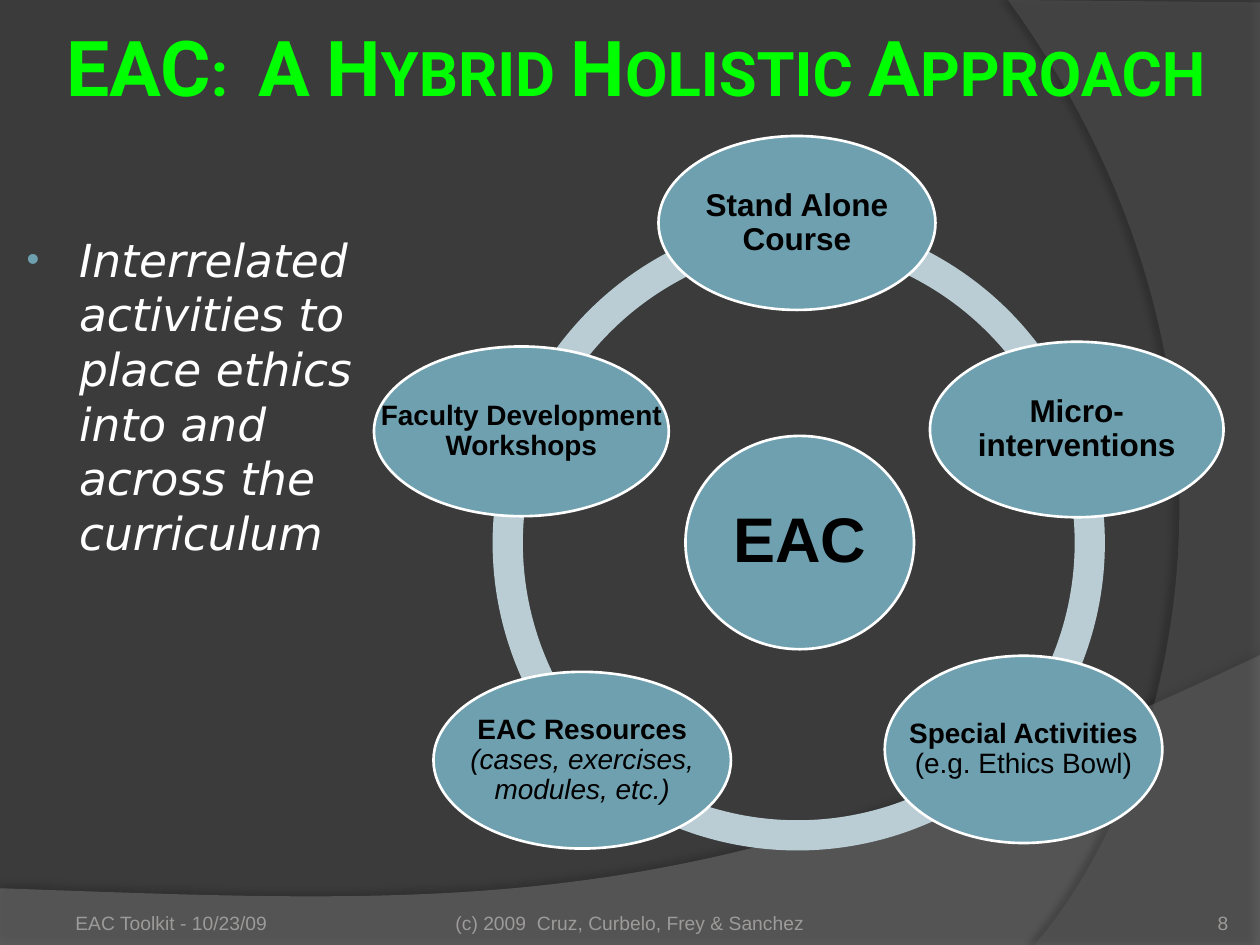
from lxml.etree import SubElement
from pptx import Presentation
from pptx.dml.color import RGBColor
from pptx.enum.shapes import MSO_SHAPE
from pptx.enum.text import MSO_ANCHOR, MSO_AUTO_SIZE, PP_ALIGN
from pptx.oxml.ns import qn
from pptx.util import Pt

COLORS = {
    "background": "3B3B3B", "bottom_wave": "7F7F7F", "right_wave": "5E5E5E",
    "shadow": "000000", "title": "00FF00", "body": "FFFFFF", "node": "6EA0B0",
    "ring": "BACDD4", "outline": "FFFFFF", "label": "000000", "footer": "9D9B9A",
}

# Ring segments: left, top, start and end angle, clockwise from the right;
# each segment ends beneath the nodes it joins
RING_SIZE = 375.8
RING_ARCS = [
    (281.5, 122.4, 138, 200),  # EAC Resources to Faculty Development
    (281.5, 122.4, 200, 266),  # Faculty Development to Stand Alone Course
    (255.6, 122.4, 274, 339),  # Stand Alone Course to Micro-interventions
    (255.6, 122.4, 339, 40),   # Micro-interventions to Special Activities
    (267.8, 110.2, 45, 132),   # Special Activities to EAC Resources
]

# Nodes: box, text size, inset, runs of (text, bold, italic)
NODES = [
    ((391.7, 249.1, 130.6, 121.9), 36, 3.6, [("EAC", True, False)]),
    ((376.3, 77.7, 158.3, 99.4), 18, 2, [("Stand Alone Course", True, False)]),
    ((531.4, 195.3, 167.8, 100.3), 18, 2, [("Micro-\ninterventions", True, False)]),
    ((505.6, 374.7, 158.6, 107), 16, 1.6,
     [("Special Activities ", True, False), ("(e.g. Ethics Bowl)", False, False)]),
    ((247.7, 383.9, 170, 101), 16, 1.6,
     [("EAC Resources ", True, False),
      ("(cases, exercises, modules, etc.)", False, True)]),
    ((213.7, 198, 168.5, 97), 16, 1.6,
     [("Faculty Development Workshops", True, False)]),
]

# Footer: text, box, alignment, insets
FOOTERS = [
    ("EAC Toolkit - 10/23/09", (36, 505.4, 168, 28.8), PP_ALIGN.LEFT, (7.2, 3.6, 7.2, 0)),
    ("8", (642, 505.4, 60, 28.8), PP_ALIGN.RIGHT, (0, 0, 0, 0)),
    ("(c) 2009  Cruz, Curbelo, Frey & Sanchez", (246, 505.4, 228, 28.8),
     PP_ALIGN.CENTER, (0, 3.6, 0, 0)),
]


def rgb(name):
    return RGBColor.from_string(COLORS[name])


def points(values):
    return [Pt(value) for value in values]


def place(shape, box):
    shape.left, shape.top, shape.width, shape.height = points(box)


def set_frame(shape, anchor, insets):
    frame = shape.text_frame
    margins = dict(zip(("margin_left", "margin_top", "margin_right", "margin_bottom"),
                       points(insets)))
    values = {"word_wrap": True, "auto_size": MSO_AUTO_SIZE.NONE,
              "vertical_anchor": anchor, **margins}
    for name, value in values.items():
        setattr(frame, name, value)
    return frame.paragraphs[0]


def add_run(paragraph, text, color, size, **formats):
    for index, line in enumerate(text.split("\n")):
        if index:
            paragraph.add_line_break()
        run = paragraph.add_run()
        run.text = line
        values = {"name": "Arial", "size": Pt(size), "bold": False, "italic": False}
        for name, value in {**values, **formats}.items():
            setattr(run.font, name, value)
        run.font.color.rgb = rgb(color)
    return run


def add_text(slide, box, anchor, insets, alignment):
    paragraph = set_frame(slide.shapes.add_textbox(*points(box)), anchor, insets)
    paragraph.alignment = alignment
    return paragraph


def fill_shape(shape, color):
    shape.shadow.inherit = False
    shape.fill.solid()
    shape.fill.fore_color.rgb = rgb(color)
    shape.line.fill.background()


def add_alpha(color_element, percent):
    SubElement(color_element, qn("a:alpha"), val=str(percent * 1000))


def curve(start, control_1, control_2, end, steps=60):
    """Points along a cubic Bezier curve."""
    result = []
    for step in range(steps + 1):
        t = step / steps
        weights = ((1 - t) ** 3, 3 * t * (1 - t) ** 2, 3 * t ** 2 * (1 - t), t ** 3)
        result.append(tuple(
            sum(weight * value for weight, value in zip(weights, axis))
            for axis in zip(start, control_1, control_2, end)))
    return result


def add_wave(slide, vertices, color, opacity, shadow_opacity, distance, direction):
    vertices = [points(vertex) for vertex in vertices]
    builder = slide.shapes.build_freeform(*vertices[0])
    builder.add_line_segments(vertices[1:], close=True)
    shape = builder.convert_to_shape()
    fill_shape(shape, color)
    properties = shape._element.spPr
    add_alpha(properties.find(qn("a:solidFill"))[0], opacity)
    shadow = SubElement(
        properties.find(qn("a:effectLst")), qn("a:outerShdw"), blurRad=str(Pt(4)),
        dist=str(Pt(distance)), dir=str(direction * 60000), algn="ctr", rotWithShape="0")
    add_alpha(SubElement(shadow, qn("a:srgbClr"), val=COLORS["shadow"]), shadow_opacity)


def add_ring_arc(slide, left, top, start, end):
    shape = slide.shapes.add_shape(
        MSO_SHAPE.BLOCK_ARC, *points((left, top, RING_SIZE, RING_SIZE)))
    fill_shape(shape, "ring")
    # Angles are stored in 60000ths of a degree, adjustments in 100000ths
    for index, value in enumerate((start * 0.6, end * 0.6, 0.046)):
        shape.adjustments[index] = value


def add_node(slide, box, size, inset, runs):
    ellipse = slide.shapes.add_shape(MSO_SHAPE.OVAL, *points(box))
    fill_shape(ellipse, "node")
    ellipse.line.color.rgb = rgb("outline")
    ellipse.line.width = Pt(1.5)
    paragraph = add_text(slide, box, MSO_ANCHOR.MIDDLE, [inset] * 4, PP_ALIGN.CENTER)
    paragraph.line_spacing = 0.9
    for text, bold, italic in runs:
        add_run(paragraph, text, "label", size, bold=bold, italic=italic)


def fill_title(title):
    place(title, (14.4, 8.6, 697.7, 58.3))
    paragraph = set_frame(title, MSO_ANCHOR.MIDDLE, [3.6] * 4)
    paragraph.alignment = PP_ALIGN.CENTER
    run = add_run(paragraph, "EAC:  A Hybrid Holistic Approach", "title", 44,
                  name="Roboto", bold=True)
    run.font._element.set("cap", "small")


def fill_body(body):
    place(body, (5, 128.9, 212.4, 205.9))
    paragraph = set_frame(body, MSO_ANCHOR.TOP, (7.2, 3.6, 7.2, 3.6))
    paragraph.space_before = Pt(0)
    properties = paragraph._p.get_or_add_pPr()
    properties.set("marL", str(Pt(33)))
    properties.set("indent", str(Pt(-30)))
    bullet_color = SubElement(properties, qn("a:buClr"))
    SubElement(bullet_color, qn("a:srgbClr"), val=COLORS["node"])
    SubElement(properties, qn("a:buSzPct"), val="80000")
    SubElement(properties, qn("a:buFont"), typeface="Arial")
    SubElement(properties, qn("a:buChar"), char="•")
    add_run(paragraph, "Interrelated activities to place ethics into and across the curriculum",
            "body", 26, name="DejaVu Sans", italic=True)


def main():
    presentation = Presentation()
    presentation.slide_width, presentation.slide_height = points((720, 540))
    slide = presentation.slides.add_slide(presentation.slide_layouts[1])
    slide.background.fill.solid()
    slide.background.fill.fore_color.rgb = rgb("background")
    title, body = slide.placeholders

    # Background waves
    bottom_edge = curve((720, 374.4), (402.5, 524.9), (281.5, 517.7), (0, 507.6))
    add_wave(slide, [(0, 540), (720, 540)] + bottom_edge, "bottom_wave", 45, 35, 3.5, 270)
    right_edge = curve((591.1, 540), (673.2, 445.7), (733, 216), (576, 0))
    add_wave(slide, [(720, 1.4), (720, 540)] + right_edge, "right_wave", 40, 45, 4, 180)

    # Title and list, in front of the waves
    for placeholder in (title, body):
        slide.shapes._spTree.append(placeholder._element)
    fill_title(title)
    fill_body(body)

    # Ring diagram
    for arc in RING_ARCS:
        add_ring_arc(slide, *arc)
    for node in NODES:
        add_node(slide, *node)

    # Footer
    for text, box, alignment, insets in FOOTERS:
        paragraph = add_text(slide, box, MSO_ANCHOR.BOTTOM, insets, alignment)
        add_run(paragraph, text, "footer", 11)

    presentation.save("out.pptx")


if __name__ == "__main__":
    main()
